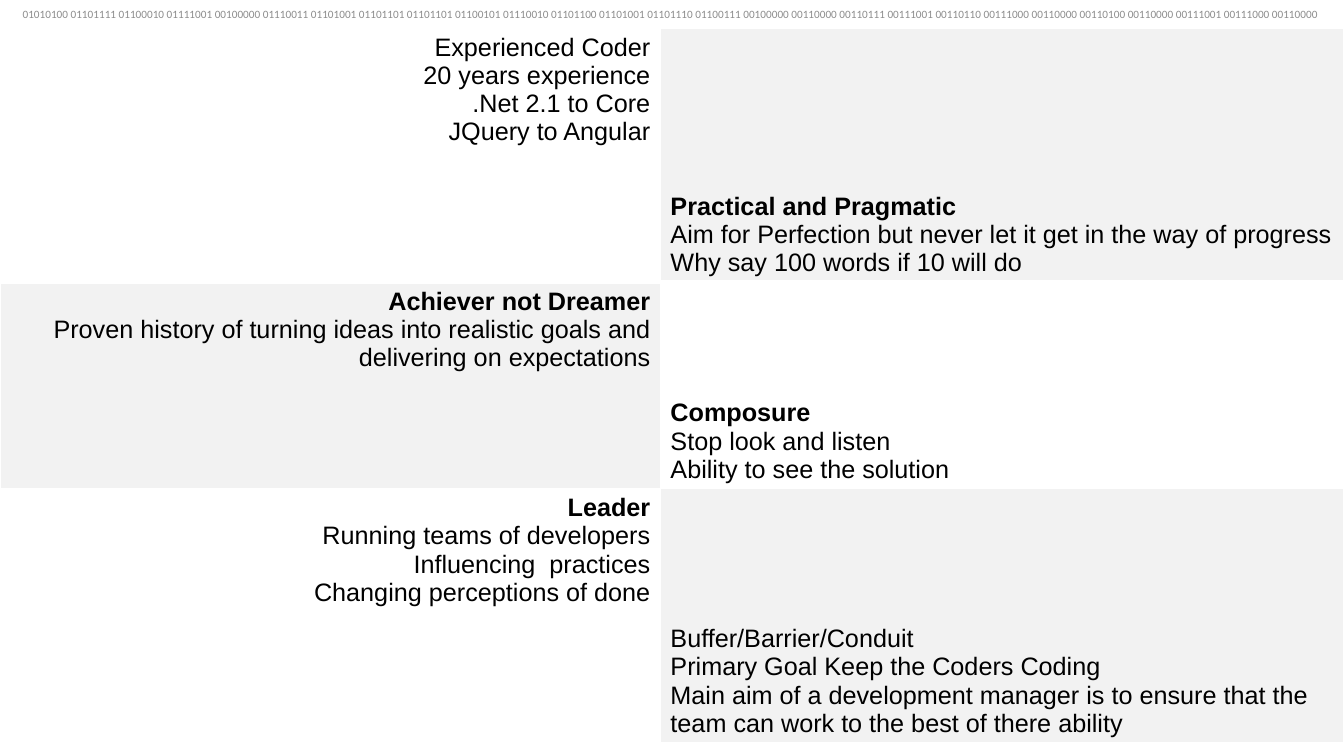
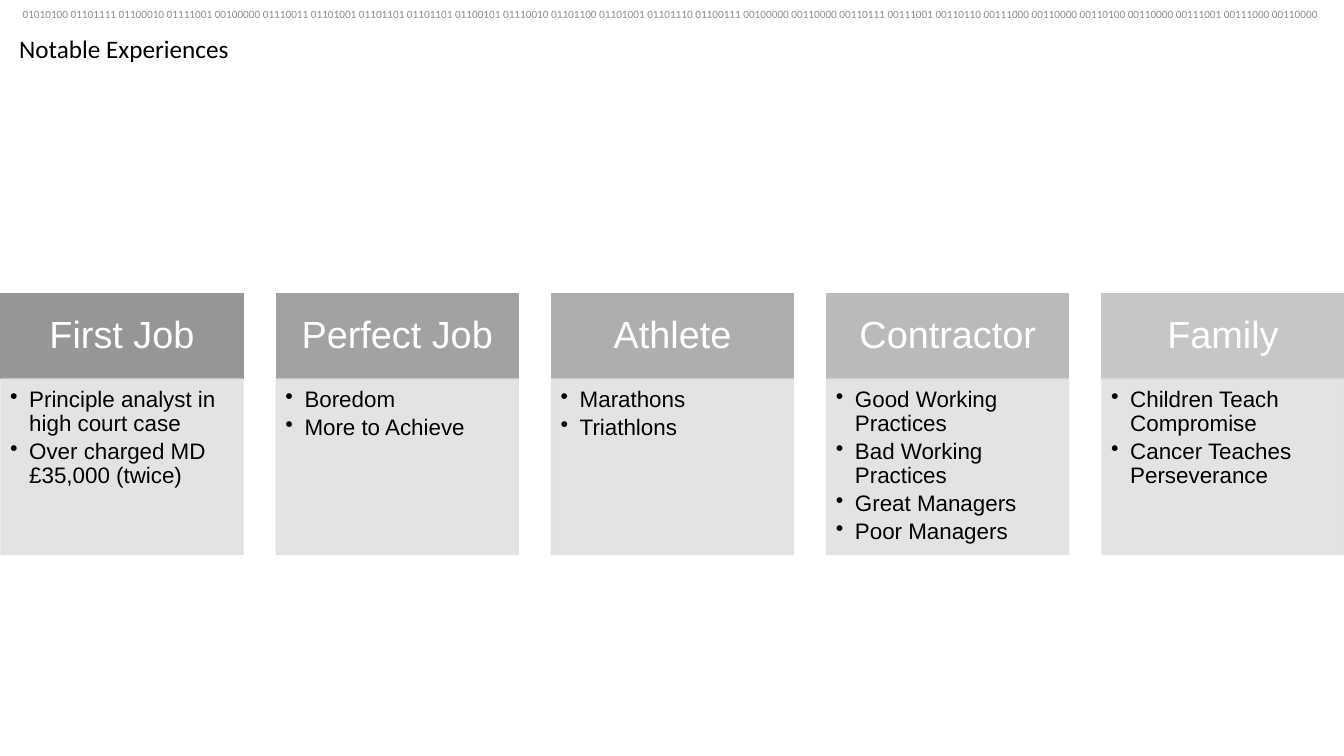
from dataclasses import dataclass

import pptx
import pptx.dml.color
import pptx.enum.shapes
import pptx.enum.text
import pptx.oxml.ns
import pptx.util
from lxml import etree

Inches = pptx.util.Inches
Align = pptx.enum.text.PP_ALIGN
Anchor = pptx.enum.text.MSO_ANCHOR


# Colours, fonts and type sizes
@dataclass(frozen=True)
class Theme:
    black: str = "000000"
    white: str = "FFFFFF"
    band_text: str = "8C8C8C"
    shaded_cell: str = "F2F2F2"
    card_body: str = "E1E1E1"
    headings: tuple = ("969696", "A2A2A2", "AEAEAE", "BABABA", "C6C6C6")
    body_font: str = "Arial"
    title_font: str = "Calibri"
    band_size: int = 8
    text_size: int = 18
    heading_size: int = 27
    list_size: int = 16


# Content
BINARY_BAND = (
    "01010100 01101111 01100010 01111001 00100000 01110011 01101001 01101101 01101101 "
    "01100101 01110010 01101100 01101001 01101110 01100111 00100000 00110000 00110111 "
    "00111001 00110110 00111000 00110000 00110100 00110000 00111001 00111000 00110000"
)

# Each cell: whether its first line is bold, then its lines
STRENGTHS = [
    [(False, ["Experienced Coder", "20 years experience", ".Net 2.1 to Core",
              "JQuery to Angular"]),
     (True, ["Practical and Pragmatic",
             "Aim for Perfection but never let it get in the way of progress",
             "Why say 100 words if 10 will do"])],
    [(True, ["Achiever not Dreamer",
             "Proven history of turning ideas into realistic goals and "
             "delivering on expectations"]),
     (True, ["Composure", "Stop look and listen", "Ability to see the solution"])],
    [(True, ["Leader", "Running teams of developers", "Influencing  practices",
             "Changing perceptions of done"]),
     (False, ["Buffer/Barrier/Conduit", "Primary Goal Keep the Coders Coding",
              "Main aim of a development manager is to ensure that the team "
              "can work to the best of there ability"])],
]

EXPERIENCES = {
    "First Job": ["Principle analyst in high court case",
                  "Over charged MD £35,000 (twice)"],
    "Perfect Job": ["Boredom", "More to Achieve"],
    "Athlete": ["Marathons", "Triathlons"],
    "Contractor": ["Good Working Practices", "Bad Working Practices",
                   "Great Managers", "Poor Managers"],
    "Family": ["Children Teach Compromise", "Cancer Teaches Perseverance"],
}


def rgb(colour):
    return pptx.dml.color.RGBColor.from_string(colour)


def add_xml(parent, tag, **attributes):
    return etree.SubElement(parent, pptx.oxml.ns.qn(tag), **attributes)


class SlideBuilder:
    def __init__(self, deck, theme):
        self.deck = deck
        self.theme = theme
        self.page = None

    def new_page(self, layout_name):
        layout = self.deck.slide_layouts.get_by_name(layout_name)
        self.page = self.deck.slides.add_slide(layout)
        self.band()

    def set_text(self, frame, lines, size, colour, font, align=Align.LEFT):
        frame.text = "\n".join(lines)
        frame.word_wrap = True
        for para in frame.paragraphs:
            para.alignment = align
            for span in para.runs:
                span.font.name = font
                span.font.size = pptx.util.Pt(size)
                span.font.color.rgb = rgb(colour)

    def set_margins(self, frame, left, top, right, bottom):
        frame.margin_left, frame.margin_top = Inches(left), Inches(top)
        frame.margin_right, frame.margin_bottom = Inches(right), Inches(bottom)

    def band(self):
        box = self.page.shapes.add_textbox(0, 0, self.deck.slide_width, Inches(0.28))
        frame = box.text_frame
        self.set_text(frame, [BINARY_BAND], self.theme.band_size, self.theme.band_text,
                      self.theme.title_font, Align.CENTER)
        frame.vertical_anchor = Anchor.MIDDLE

    def title(self, text):
        box = self.page.shapes.title
        box.left, box.top = Inches(0.09), Inches(0.28)
        box.width, box.height = Inches(13.15), Inches(0.4)
        self.set_text(box.text_frame, [text], self.theme.text_size, self.theme.black,
                      self.theme.title_font)
        box.text_frame.auto_size = pptx.enum.text.MSO_AUTO_SIZE.NONE
        box.text_frame.vertical_anchor = Anchor.TOP

    def rectangle(self, left, top, width, height, colour, opacity=100):
        box = self.page.shapes.add_shape(
            pptx.enum.shapes.MSO_SHAPE.RECTANGLE,
            Inches(left), Inches(top), Inches(width), Inches(height))
        box.shadow.inherit = False
        box.line.width = pptx.util.Pt(1)
        for fill in (box.fill, box.line.fill):
            fill.solid()
            fill.fore_color.rgb = rgb(colour)
        if opacity < 100:
            for tint in box.element.spPr.iter(pptx.oxml.ns.qn("a:srgbClr")):
                add_xml(tint, "a:alpha", val=str(opacity * 1000))
        return box

    def card(self, left, width, heading, points, colour):
        # Heading
        top, heading_height = 2.91, 0.85
        box = self.rectangle(left, top, width, heading_height, colour)
        frame = box.text_frame
        self.set_text(frame, [heading], self.theme.heading_size, self.theme.white,
                      self.theme.body_font, Align.CENTER)
        self.set_margins(frame, 0.21, 0.12, 0.21, 0.12)
        frame.vertical_anchor = Anchor.MIDDLE
        frame.paragraphs[0].line_spacing = 0.9

        # Bulleted list
        box = self.rectangle(left, top + heading_height, width, 1.74,
                             self.theme.card_body, opacity=90)
        frame = box.text_frame
        self.set_text(frame, points, self.theme.list_size, self.theme.black,
                      self.theme.body_font)
        self.set_margins(frame, 0.09, 0.09, 0.12, 0.14)
        frame.vertical_anchor = Anchor.TOP
        indent = Inches(0.19)
        for para in frame.paragraphs:
            para.line_spacing = 0.9
            para.space_after = pptx.util.Pt(2.8)
            properties = para._p.get_or_add_pPr()
            properties.set("marL", str(indent))
            properties.set("indent", str(-indent))
            add_xml(properties, "a:buChar", char="•")

    def cell_borders(self, cell, widths):
        properties = cell._tc.get_or_add_tcPr()
        for side, width in widths.items():
            line = add_xml(properties, f"a:ln{side}", w=str(pptx.util.Pt(width)))
            add_xml(add_xml(line, "a:solidFill"), "a:srgbClr", val=self.theme.white)

    def checker_table(self, rows, top, column_widths, row_heights):
        table = self.page.shapes.add_table(
            len(rows), len(column_widths), 0, Inches(top),
            Inches(sum(column_widths)), Inches(sum(row_heights))).table
        table.first_row = table.horz_banding = False
        for column, width in zip(table.columns, column_widths):
            column.width = Inches(width)
        for row, height in zip(table.rows, row_heights):
            row.height = Inches(height)
        for r, row in enumerate(rows):
            for c, (bold_first, lines) in enumerate(row):
                cell = table.cell(r, c)
                self.set_text(cell.text_frame, lines, self.theme.text_size,
                              self.theme.black, self.theme.body_font,
                              Align.LEFT if c else Align.RIGHT)
                cell.text_frame.paragraphs[0].runs[0].font.bold = bold_first
                cell.vertical_anchor = Anchor.BOTTOM if c else Anchor.TOP
                # The first row is ruled off by a heavier line
                self.cell_borders(cell, {"L": 1, "R": 1, "T": 3 if r == 1 else 1,
                                         "B": 3 if r == 0 else 1})
                cell.fill.solid()
                shaded = (r + c) % 2
                cell.fill.fore_color.rgb = rgb(
                    self.theme.shaded_cell if shaded else self.theme.white)


deck = pptx.Presentation()
deck.slide_width, deck.slide_height = Inches(13.33), Inches(7.5)
theme = Theme()
builder = SlideBuilder(deck, theme)

# Slide 1: strengths
builder.new_page("Blank")
builder.checker_table(STRENGTHS, 0.28, [6.55, 6.78], [2.52, 2.05, 2.52])

# Slide 2: notable experiences
builder.new_page("Title Only")
builder.title("Notable Experiences")
CARD_WIDTH, CARD_PITCH = 2.4, 2.73
for i, (heading, points) in enumerate(EXPERIENCES.items()):
    builder.card(0.01 + i * CARD_PITCH, CARD_WIDTH, heading, points, theme.headings[i])

deck.save("out.pptx")
